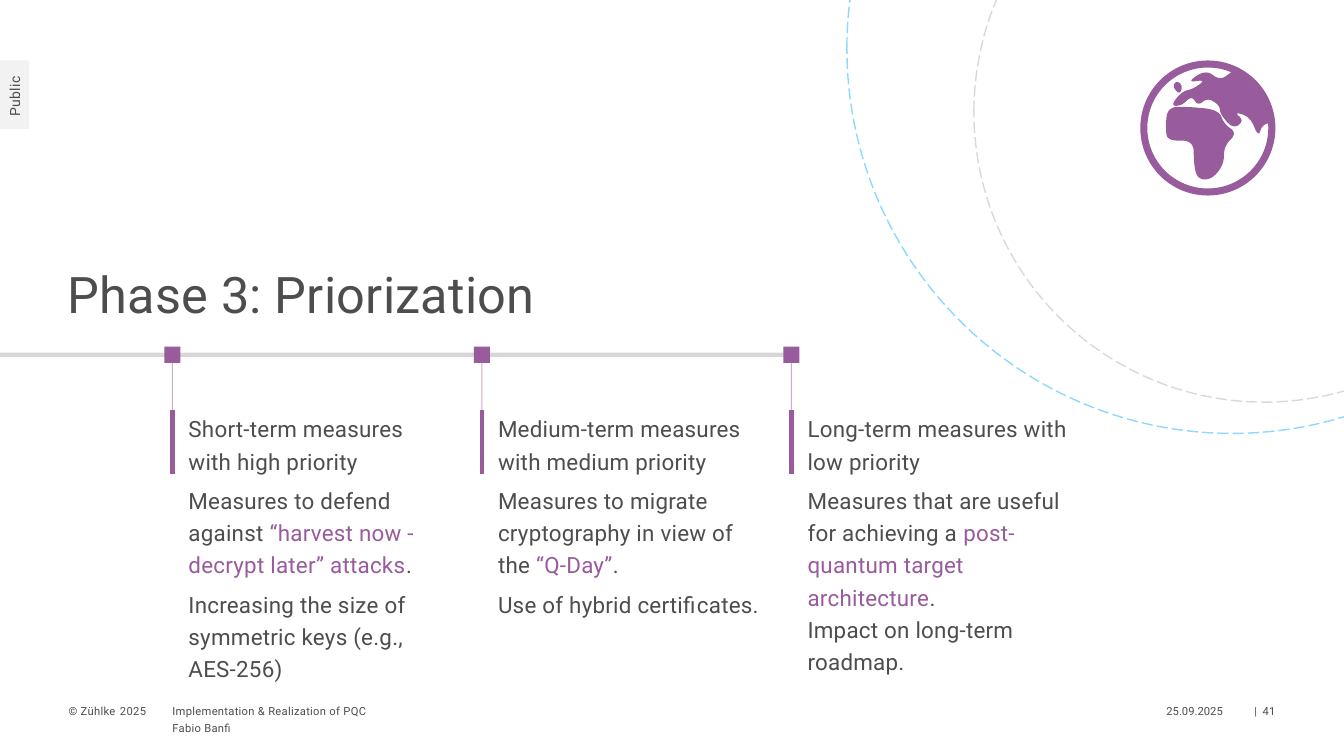
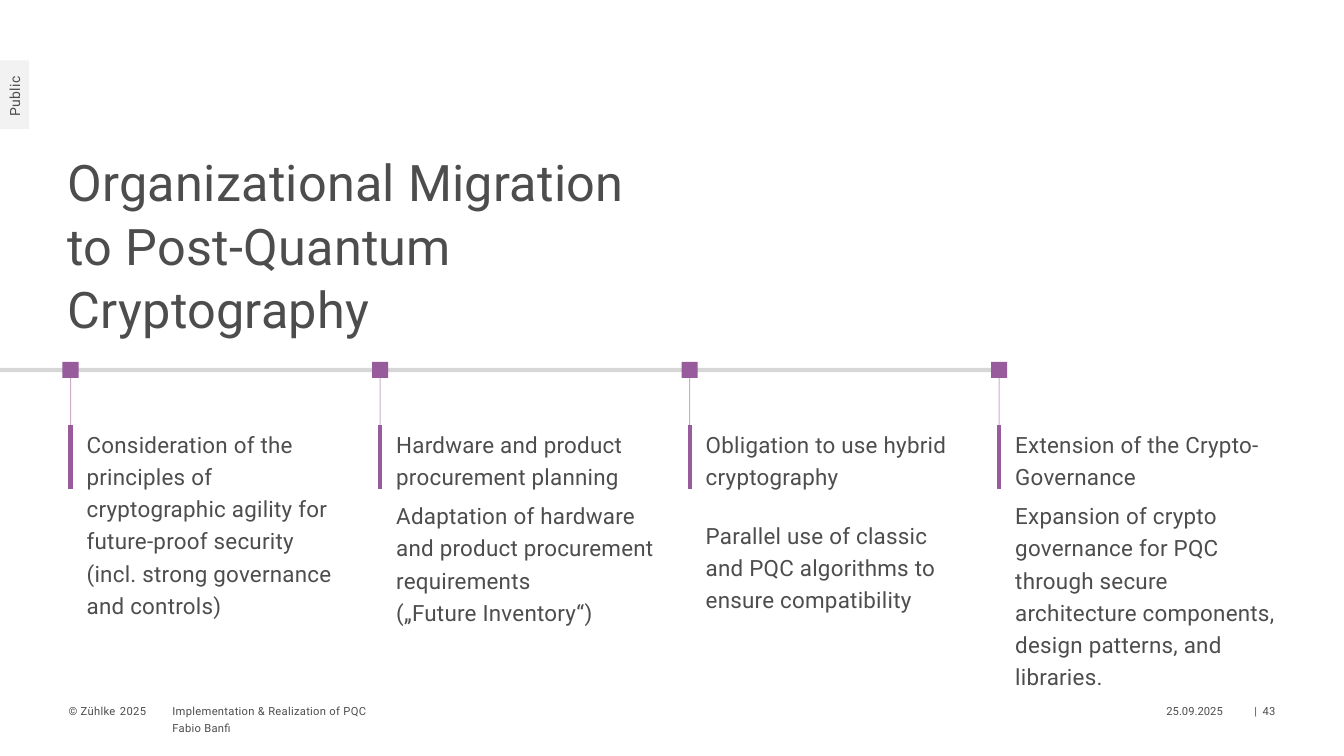
from dataclasses import dataclass
from math import cos, radians, sin

from lxml import etree
from pptx import Presentation
from pptx.dml.color import RGBColor
from pptx.enum.dml import MSO_LINE
from pptx.enum.shapes import MSO_CONNECTOR, MSO_SHAPE
from pptx.enum.text import MSO_ANCHOR, MSO_AUTO_SIZE, PP_ALIGN
from pptx.oxml.ns import qn
from pptx.util import Inches, Pt


@dataclass(frozen=True)
class Theme:
    font: str = "Roboto"
    text: str = "4D4D4D"
    accent: str = "985B9C"
    axis: str = "666666"
    tag: str = "F2F2F2"
    ring_grey: str = "D9D9D9"
    ring_blue: str = "8CD9FF"
    title_size: int = 36
    body_size: int = 16
    tag_size: int = 10
    footer_size: int = 8
    tracking: int = 20


@dataclass(frozen=True)
class Column:
    """Every second piece of a detail paragraph is shown in the accent colour."""
    headings: tuple
    details: tuple = ()
    width: float = 2.76


THEME = Theme()

# Timeline, in inches; vertical distances are measured from the axis
PITCH = 3.07
MARKER = 0.16
TITLE_HEIGHT = 2.05
TITLE_GAP = 0.31
TEXT_DROP = 0.55
BAR_HEIGHT = 0.63
BODY_BOTTOM = 6.74

# Footer, in inches
FOOTER_TOP = 6.97
FOOTER_HEIGHT = 0.16
AUTHOR_TOP = 7.14

# Globe, in inches; corners of the land are hundredths of an inch from its centre
GLOBE_CENTRE = (11.98, 1.27)
GLOBE_RADIUS = 0.67
GLOBE_RIM = 0.07
AFRICA = [(-42, 0), (-40, -21), (-18, -21), (11, -18), (16, -4), (29, 5),
          (16, 18), (16, 36), (4, 51), (-10, 51), (-14, 36), (-14, 12), (-40, 13)]
EUROPE = [(24, -56), (12, -47), (-2, -58), (-21, -45), (-2, -48), (-14, -39),
          (-26, -36), (-37, -22), (-26, -22), (-16, -32), (-10, -22), (0, -30)]
SOUTH_ASIA = [(12, -22), (12, -14), (25, 1), (36, -7), (26, -16), (42, -11),
              (50, 9), (54, -3)]
BRITAIN = [(-35, -41), (-28, -33), (-25, -42), (-31, -47)]

PRIORITIES = [
    Column(
        ("Short-term measures with high priority",),
        (("Measures to defend against ",
          "“harvest now - decrypt later” attacks", "."),
         ("Increasing the size of symmetric keys (e.g., AES-256)",)),
    ),
    Column(
        ("Medium-term measures with medium priority",),
        (("Measures to migrate cryptography in view of the ", "“Q-Day”", "."),
         ("Use of hybrid certificates.",)),
        width=2.8,
    ),
    Column(
        ("Long-term measures with low priority",),
        (("Measures that are useful for achieving a ",
          "post-quantum target architecture",
          ".\nImpact on long-term roadmap."),),
    ),
]
MIGRATION = [
    Column(("Consideration of the principles of cryptographic agility for "
            "future-proof security\n(incl. strong governance and controls)",)),
    Column(
        ("Hardware and product procurement planning",),
        (("Adaptation of hardware and product procurement requirements\n"
          "(„Future Inventory“)",),),
    ),
    Column(("Obligation to use hybrid cryptography",
            "Parallel use of classic and PQC algorithms to ensure compatibility")),
    Column(
        ("Extension of the Crypto-Governance",),
        (("Expansion of crypto governance for PQC through secure architecture "
          "components, design patterns, and libraries.",),),
    ),
]


def rgb(value):
    return RGBColor.from_string(value)


def inches(*values):
    return [Inches(v) for v in values]


def apply(target, formats):
    for name, value in formats.items():
        setattr(target, name, value)


def set_frame(tf, insets=(0, 0, 0, 0), anchor=MSO_ANCHOR.MIDDLE, wrap=True):
    left, top, right, bottom = inches(*insets)
    apply(tf, {
        "margin_left": left, "margin_top": top,
        "margin_right": right, "margin_bottom": bottom,
        "vertical_anchor": anchor, "word_wrap": wrap,
        "auto_size": MSO_AUTO_SIZE.NONE,
    })


def add_run(p, text, size, color=THEME.text, tracking=THEME.tracking):
    """Add text to a paragraph, turning newlines into line breaks."""
    for i, line in enumerate(text.split("\n")):
        if i:
            p.add_line_break()
        r = p.add_run()
        r.text = line
        apply(r.font, {"name": THEME.font, "size": Pt(size), "bold": False})
        r.font.color.rgb = rgb(color)
        r.font._element.set("spc", str(tracking))


def add_label(s, left, top, width, text, align=PP_ALIGN.LEFT,
              tracking=THEME.tracking):
    box = s.shapes.add_textbox(*inches(left, top, width, FOOTER_HEIGHT))
    tf = box.text_frame
    set_frame(tf)
    p = tf.paragraphs[0]
    p.alignment = align
    add_run(p, text, THEME.footer_size, tracking=tracking)


def fill_plain(shape, color):
    shape.shadow.inherit = False
    shape.fill.solid()
    shape.fill.fore_color.rgb = rgb(color)
    shape.line.fill.background()


def add_filled(s, kind, box, color):
    shape = s.shapes.add_shape(kind, *inches(*box))
    fill_plain(shape, color)
    return shape


def add_line(s, start, end, color, width, opacity=100):
    line = s.shapes.add_connector(MSO_CONNECTOR.STRAIGHT, *inches(*start, *end))
    line.line.width = Pt(width)
    line.line.color.rgb = rgb(color)
    sp_pr = line._element.spPr
    if opacity < 100:
        tint = sp_pr.find(".//" + qn("a:srgbClr"))
        etree.SubElement(tint, qn("a:alpha")).set("val", str(opacity * 1000))
    etree.SubElement(sp_pr, qn("a:effectLst"))
    return line


def add_ring(s, left, top, size, color):
    ring = s.shapes.add_shape(MSO_SHAPE.OVAL, *inches(left, top, size, size))
    ring.shadow.inherit = False
    ring.fill.background()
    apply(ring.line, {"width": Pt(1), "dash_style": MSO_LINE.LONG_DASH})
    ring.line.color.rgb = rgb(color)


def round_corners(points, passes=3):
    """Cut every corner of a closed outline at a quarter of its sides."""
    for _ in range(passes):
        points = [
            (a[0] + (b[0] - a[0]) * t, a[1] + (b[1] - a[1]) * t)
            for a, b in zip(points, points[1:] + points[:1])
            for t in (0.25, 0.75)
        ]
    return points


def add_land(s, corners):
    cx, cy = GLOBE_CENTRE
    start, *rest = [inches(cx + x / 100, cy + y / 100)
                    for x, y in round_corners(corners)]
    builder = s.shapes.build_freeform(*start)
    builder.add_line_segments(rest, close=True)
    fill_plain(builder.convert_to_shape(), THEME.accent)


def add_globe(s):
    cx, cy = GLOBE_CENTRE
    size = 2 * GLOBE_RADIUS
    rim = add_filled(s, MSO_SHAPE.DONUT,
                     (cx - GLOBE_RADIUS, cy - GLOBE_RADIUS, size, size),
                     THEME.accent)
    rim.adjustments[0] = GLOBE_RIM / size
    mid_rim = 100 * (GLOBE_RADIUS - GLOBE_RIM / 2)
    eastern_edge = [(mid_rim * cos(radians(a)), mid_rim * sin(radians(a)))
                    for a in range(-5, -66, -10)]
    for land in (AFRICA, EUROPE + SOUTH_ASIA + eastern_edge, BRITAIN):
        add_land(s, land)


def add_title(s, text, axis, width):
    title = s.shapes.title
    top = axis - TITLE_GAP - TITLE_HEIGHT
    box = inches(0.67, top, width, TITLE_HEIGHT)
    apply(title, dict(zip(("left", "top", "width", "height"), box)))
    set_frame(title.text_frame, anchor=MSO_ANCHOR.BOTTOM)
    p = title.text_frame.paragraphs[0]
    apply(p, {"alignment": PP_ALIGN.LEFT, "line_spacing": 1.05})
    add_run(p, text, THEME.title_size)


def add_column_text(s, x, top, column):
    box = s.shapes.add_textbox(*inches(x, top, column.width, BODY_BOTTOM - top))
    tf = box.text_frame
    set_frame(tf, (0.16, 0, 0, 0), MSO_ANCHOR.TOP)
    rows = [((heading,), 16) for heading in column.headings]
    rows += [(pieces, 2) for pieces in column.details]
    for i, (pieces, before) in enumerate(rows):
        p = tf.add_paragraph() if i else tf.paragraphs[0]
        apply(p, {"line_spacing": 1.2, "space_after": Pt(3),
                  "space_before": Pt(before if i else 0)})
        for j, piece in enumerate(pieces):
            add_run(p, piece, THEME.body_size,
                    THEME.accent if j % 2 else THEME.text)


def add_timeline(s, first_x, axis, columns):
    last_x = first_x + PITCH * (len(columns) - 1)
    add_line(s, (0, axis), (last_x, axis), THEME.axis, 3, 25)
    top = axis + TEXT_DROP
    half = MARKER / 2
    for i, column in enumerate(columns):
        x = first_x + PITCH * i
        marker = add_filled(s, MSO_SHAPE.RECTANGLE,
                            (x - half, axis - half, MARKER, MARKER), THEME.accent)
        add_column_text(s, x, top, column)
        add_line(s, (x, top), (x, top + BAR_HEIGHT), THEME.accent, 3)
        stem = add_line(s, (x, axis + half), (x, top), THEME.accent, 0.75, 50)
        stem.begin_connect(marker, 2)


def add_tag(s):
    tag = add_filled(s, MSO_SHAPE.RECTANGLE, (0, 0.6, 0.29, 0.68), THEME.tag)
    tf = tag.text_frame
    set_frame(tf, (0.06, 0.16, 0.06, 0.16), wrap=False)
    tf._txBody.bodyPr.set("vert", "vert270")
    p = tf.paragraphs[0]
    p.alignment = PP_ALIGN.RIGHT
    add_run(p, "Public", THEME.tag_size)


def add_footer(s, page):
    for left, top, width, text in (
        (0.68, FOOTER_TOP, 0.48, "© Zühlke"),
        (1.19, FOOTER_TOP, 0.28, "2025"),
        (1.71, FOOTER_TOP, 4.8, "Implementation & Realization of PQC"),
        (1.71, AUTHOR_TOP, 4.8, "Fabio Banfi"),
    ):
        add_label(s, left, top, width, text)
    for left, width, text in ((11.39, 0.74, "25.09.2025"),
                              (12.22, 0.43, f"|  {page}")):
        add_label(s, left, FOOTER_TOP, width, text, PP_ALIGN.RIGHT, 0)


def add_timeline_slide(prs, page, title, title_width, axis, first_x, columns):
    s = prs.slides.add_slide(prs.slide_layouts[5])
    add_tag(s)
    add_footer(s, page)
    add_title(s, title, axis, title_width)
    add_timeline(s, first_x, axis, columns)
    return s


def main():
    prs = Presentation()
    prs.slide_width, prs.slide_height = inches(13.33, 7.5)
    s = add_timeline_slide(
        prs, page=41, title="Phase 3: Priorization", title_width=4.8,
        axis=3.52, first_x=1.71, columns=PRIORITIES)
    add_ring(s, 9.66, -1.77, 5.76, THEME.ring_grey)
    add_ring(s, 8.4, -3.34, 7.64, THEME.ring_blue)
    add_globe(s)
    add_timeline_slide(
        prs, page=43, title="Organizational Migration to Post-Quantum Cryptography",
        title_width=6.09, axis=3.67, first_x=0.7, columns=MIGRATION)
    prs.save("out.pptx")


if __name__ == "__main__":
    main()
